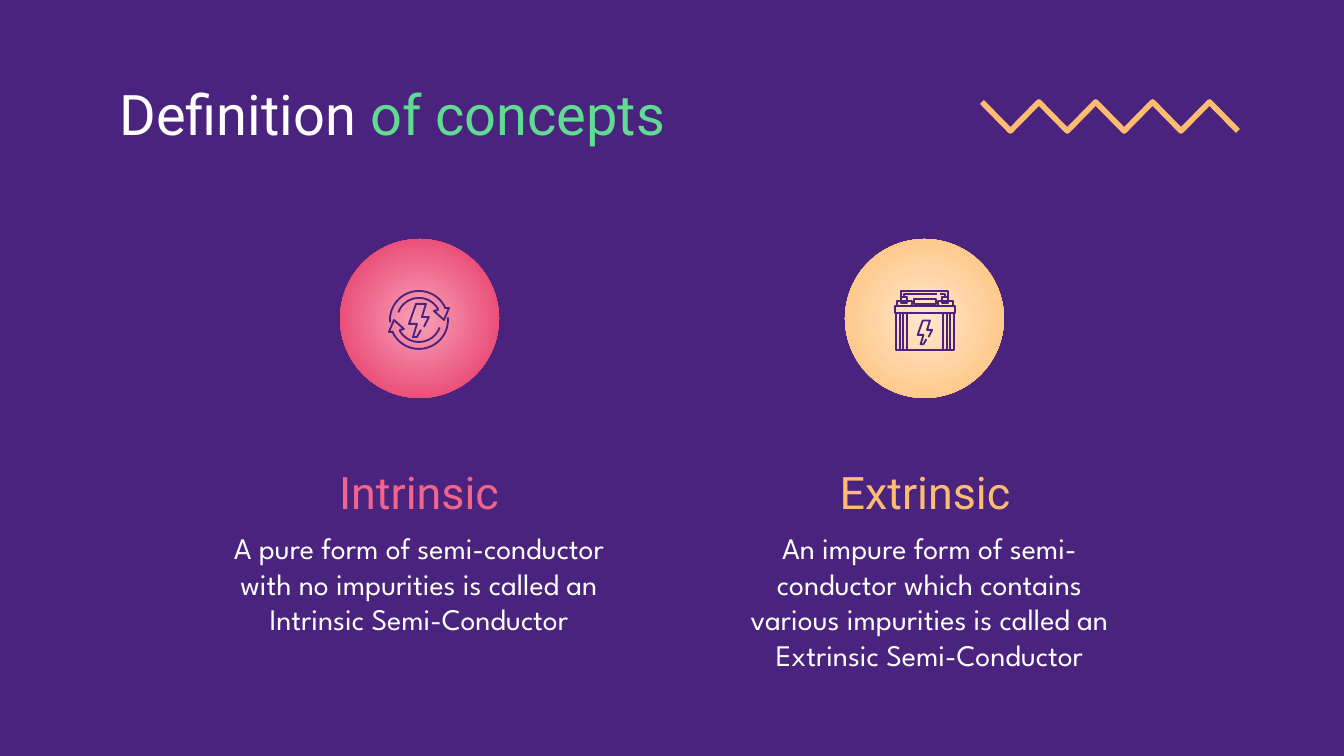
from math import cos, radians, sin

from lxml.etree import SubElement
from pptx import Presentation
from pptx.dml.color import RGBColor
from pptx.enum.shapes import MSO_SHAPE
from pptx.enum.text import MSO_ANCHOR, MSO_AUTO_SIZE, PP_ALIGN
from pptx.oxml.ns import qn
from pptx.util import Inches, Pt

PURPLE = RGBColor(0x4A, 0x23, 0x7E)
WHITE = RGBColor(0xFF, 0xFF, 0xFF)
GREEN = RGBColor(0x60, 0xDB, 0x92)
PINK = RGBColor(0xF2, 0x64, 0x89)
LIGHT_PINK = RGBColor(0xF7, 0xA1, 0xB8)
DEEP_PINK = RGBColor(0xE6, 0x2F, 0x60)
ORANGE = RGBColor(0xFE, 0xBC, 0x71)
CREAM = RGBColor(0xFF, 0xE8, 0xCD)

HEADING_FONT, BODY_FONT = "Roboto", "League Spartan"
TITLE = [("Definition ", WHITE), ("of concepts", GREEN)]
CONCEPTS = [
    dict(name="Intrinsic", color=PINK, gradient=(LIGHT_PINK, DEEP_PINK),
         text="A pure form of semi-conductor with no impurities "
              "is called an Intrinsic Semi-Conductor",
         name_box=(220, 454, 398, 78), text_box=(220, 516, 398, 149),
         circle_left=340),
    dict(name="Extrinsic", color=ORANGE, gradient=(CREAM, ORANGE),
         text="An impure form of semi-conductor which contains various "
              "impurities is called an Extrinsic Semi-Conductor",
         name_box=(726, 454, 398, 78), text_box=(722, 516, 415, 149),
         circle_left=845),
]
CIRCLE_TOP, CIRCLE_SIZE = 239, 159

BOLT = [(2, 10), (-2, 17), (-6, 17), (-2, 4), (-10, 4), (-3, -16),
        (7, -16), (3, -3), (10, -3), (5, 7)]
ARROW_HEAD = [(26, -12), (30, -12), (25, 0), (15, -9), (19, -10)]
BATTERY_BOXES = [(895, 306, 955, 313), (896, 313, 954, 350),
                 (897, 301, 912, 306), (938, 301, 953, 306),
                 (901, 297, 907, 303), (942, 297, 948, 303),
                 (914, 299, 936, 304)]
BATTERY_STRIPES = [900, 903, 907, 943, 947, 950]
BATTERY_HANDLE = [[(901, 297), (901, 291), (948, 291), (948, 297)],
                  [(904, 297), (904, 294), (937, 294)],
                  [(940, 294), (945, 294), (945, 297)]]


def px(value):
    return round(value * Inches(1) / 134.4)


def place(box, bounds):
    box.left, box.top, box.width, box.height = map(px, bounds)


def write(box, bounds, spans, font, size, align, anchor=MSO_ANCHOR.TOP):
    place(box, bounds)
    frame = box.text_frame
    frame.word_wrap = True
    frame.auto_size = MSO_AUTO_SIZE.NONE
    frame.vertical_anchor = anchor
    frame.margin_left = frame.margin_right = Inches(0.1)
    frame.margin_top = frame.margin_bottom = Inches(0.1)
    para = frame.paragraphs[0]
    properties = para._p.get_or_add_pPr()
    properties.set("marL", "0")
    properties.set("indent", "0")
    SubElement(properties, qn("a:buNone"))
    para.alignment = align
    para.space_before = Pt(0)
    para.space_after = Pt(0 if align == PP_ALIGN.LEFT else 12)
    for text, color in spans:
        span = para.add_run()
        span.text = text
        span.font.name = font
        span.font.size = Pt(size)
        span.font.bold = False
        span.font.color.rgb = color


def draw_lines(page, lines, color, width):
    builder = None
    for line in lines:
        points = [(px(x), px(y)) for x, y in line]
        if builder is None:
            builder = page.shapes.build_freeform(*points[0])
        else:
            builder.move_to(*points[0])
        builder.add_line_segments(points[1:], close=False)
    shape = builder.convert_to_shape()
    shape.shadow.inherit = False
    shape.fill.background()
    shape.line.color.rgb = color
    shape.line.width = Pt(width)


def add_circle(page, left, colors):
    circle = page.shapes.add_shape(
        MSO_SHAPE.OVAL, *map(px, (left, CIRCLE_TOP, CIRCLE_SIZE, CIRCLE_SIZE)))
    circle.shadow.inherit = False
    circle.line.fill.background()
    circle.fill.gradient()
    for stop, color in zip(circle.fill.gradient_stops, colors):
        stop.color.rgb = color
    gradient = circle._element.spPr.find(qn("a:gradFill"))
    gradient.remove(gradient.find(qn("a:lin")))
    radial = SubElement(gradient, qn("a:path"), path="circle")
    SubElement(radial, qn("a:fillToRect"), l="50000", t="50000", r="50000", b="50000")


def arc(radius, start, end):
    step = 5 if end > start else -5
    return [(radius * cos(radians(angle)), radius * sin(radians(angle)))
            for angle in range(start, end + step, step)]


def shift(points, center, scale=1):
    return [(center[0] + x * scale, center[1] + y * scale) for x, y in points]


def cycle_icon(center):
    arrow = arc(29, 175, 335) + ARROW_HEAD + arc(22, 330, 200)
    return [shift(arrow, center), shift(arrow, center, -1), shift(BOLT, center)]


def battery_icon():
    boxes = [[(left, top), (right, top), (right, bottom), (left, bottom), (left, top)]
             for left, top, right, bottom in BATTERY_BOXES]
    stripes = [[(x, 313), (x, 350)] for x in BATTERY_STRIPES]
    return boxes + stripes + BATTERY_HANDLE + [shift(BOLT, (925, 332), 0.72)]


def main():
    deck = Presentation()
    deck.slide_width, deck.slide_height = px(1344), px(756)
    page = deck.slides.add_slide(deck.slide_layouts.get_by_name("Comparison"))
    page.background.fill.solid()
    page.background.fill.fore_color.rgb = PURPLE

    title, *boxes = page.placeholders
    write(title, (106, 66, 1133, 85), TITLE, HEADING_FONT, 30, PP_ALIGN.LEFT)
    for concept, name, body in zip(CONCEPTS, boxes[::2], boxes[1::2]):
        write(body, concept["text_box"], [(concept["text"], WHITE)],
              BODY_FONT, 16, PP_ALIGN.CENTER)
        write(name, concept["name_box"], [(concept["name"], concept["color"])],
              HEADING_FONT, 24, PP_ALIGN.CENTER, MSO_ANCHOR.BOTTOM)
        add_circle(page, concept["circle_left"], concept["gradient"])

    for icon in (cycle_icon((419, 320)), battery_icon()):
        draw_lines(page, icon, PURPLE, 1)
    zigzag = [(982 + i * 256 / 9, 131 if i % 2 else 102) for i in range(10)]
    draw_lines(page, [zigzag], ORANGE, 3)
    deck.save("out.pptx")


if __name__ == "__main__":
    main()
